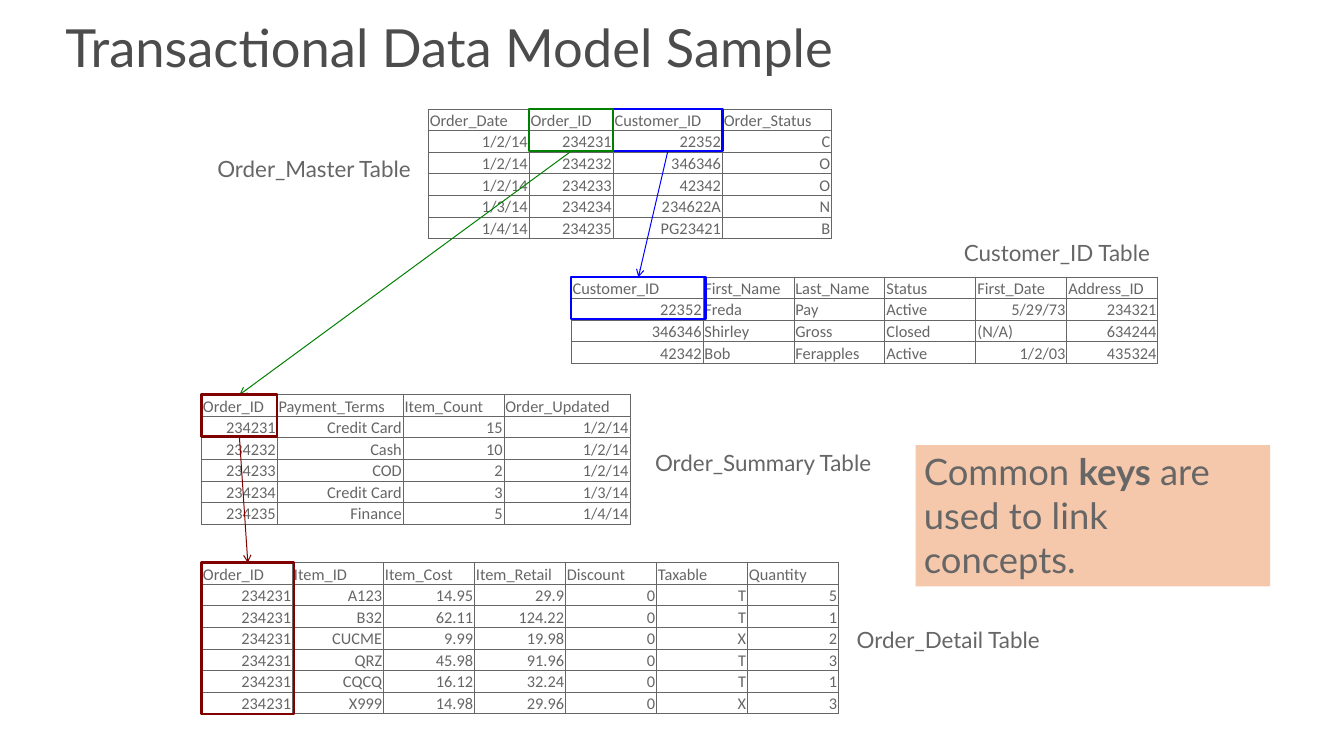
import pptx
import pptx.dml.color
import pptx.enum.shapes
import pptx.enum.text
import pptx.oxml
import pptx.oxml.ns
import pptx.util

Pt = pptx.util.Pt
ANCHOR = pptx.enum.text.MSO_ANCHOR
ALIGN = pptx.enum.text.PP_ALIGN
SHAPE = pptx.enum.shapes.MSO_SHAPE

# Content: lengths in points
TITLE = "Transactional Data Model Sample"
GRAY = "666666"
ROW_H = 18.5
KEY_H = 36

# left, top, column widths, align text cells left, rows
TABLES = [
    (489.6, 237.6, [113] + [78] * 5, True, [
        ("Customer_ID", "First_Name", "Last_Name", "Status", "First_Date", "Address_ID"),
        ("22352", "Freda", "Pay", "Active", "5/29/73", "234321"),
        ("346346", "Shirley", "Gross", "Closed", "(N/A)", "634244"),
        ("42342", "Bob", "Ferapples", "Active", "1/2/03", "435324"),
    ]),
    (367.2, 93.6, [86.4, 72, 93.6, 93.6], False, [
        ("Order_Date", "Order_ID", "Customer_ID", "Order_Status"),
        ("1/2/14", "234231", "22352", "C"),
        ("1/2/14", "234232", "346346", "O"),
        ("1/2/14", "234233", "42342", "O"),
        ("1/3/14", "234234", "234622A", "N"),
        ("1/4/14", "234235", "PG23421", "B"),
    ]),
    (172.8, 338.4, [64.8, 108, 86.4, 108], False, [
        ("Order_ID", "Payment_Terms", "Item_Count", "Order_Updated"),
        ("234231", "Credit Card", "15", "1/2/14"),
        ("234232", "Cash", "10", "1/2/14"),
        ("234233", "COD", "2", "1/2/14"),
        ("234234", "Credit Card", "3", "1/3/14"),
        ("234235", "Finance", "5", "1/4/14"),
    ]),
    (172.8, 482.4, [78] * 7, False, [
        ("Order_ID", "Item_ID", "Item_Cost", "Item_Retail", "Discount", "Taxable", "Quantity"),
        ("234231", "A123", "14.95", "29.9", "0", "T", "5"),
        ("234231", "B32", "62.11", "124.22", "0", "T", "1"),
        ("234231", "CUCME", "9.99", "19.98", "0", "X", "2"),
        ("234231", "QRZ", "45.98", "91.96", "0", "T", "3"),
        ("234231", "CQCQ", "16.12", "32.24", "0", "T", "1"),
        ("234231", "X999", "14.98", "29.96", "0", "X", "3"),
    ]),
]

# colour, key box the link leaves, key box it reaches
LINKS = [
    ("0000FF", (525.6, 93.6, 93.6, KEY_H), (489.6, 237.6, 115.2, KEY_H)),
    ("008000", (453.6, 93.6, 72, KEY_H), (172.8, 338.4, 64.8, KEY_H)),
    ("800000", (172.8, 338.4, 64.8, KEY_H), (172.8, 482.4, 79.2, 129.6)),
]

# text, left, top, width, alignment
LABELS = [
    ("Order_Master Table", 151.2, 129.6, 208, ALIGN.RIGHT),
    ("Customer_ID Table", 784.8, 201.6, 208, ALIGN.RIGHT),
    ("Order_Summary Table", 554.4, 381.6, 266.4, ALIGN.LEFT),
    ("Order_Detail Table", 727.2, 532.8, 266.4, ALIGN.LEFT),
]

CALLOUT = [("Common ", False), ("keys", True), (" are used to link concepts.", False)]


def rgb(value):
    return pptx.dml.color.RGBColor.from_string(value)


def style(r, size, font="Lato", color=GRAY, bold=False):
    r.font.size = Pt(size)
    r.font.name = font
    r.font.color.rgb = rgb(color)
    r.font.bold = bold


def set_borders(cell, color, width):
    tcPr = cell._tc.get_or_add_tcPr()
    for i, side in enumerate(("lnL", "lnR", "lnT", "lnB")):
        tcPr.insert(i, pptx.oxml.parse_xml(
            f'<a:{side} {pptx.oxml.ns.nsdecls("a")} w="{Pt(width)}"><a:solidFill>'
            f'<a:srgbClr val="{color}"/></a:solidFill></a:{side}>'))


def add_data_table(s, left, top, widths, text_left, rows):
    frame = s.shapes.add_table(len(rows), len(widths), Pt(left), Pt(top),
                               Pt(sum(widths)), Pt(ROW_H * len(rows)))
    table = frame.table
    table.first_row = table.horz_banding = False
    for col, width in zip(table.columns, widths):
        col.width = Pt(width)
    for i, row in enumerate(rows):
        table.rows[i].height = Pt(ROW_H)
        for j, text in enumerate(row):
            cell = table.cell(i, j)
            cell.fill.background()
            set_borders(cell, GRAY, 1)
            cell.margin_left = cell.margin_right = cell.margin_top = Pt(1.2)
            cell.margin_bottom = 0
            cell.vertical_anchor = ANCHOR.BOTTOM
            cell.text_frame.text = text
            p = cell.text_frame.paragraphs[0]
            is_left = i == 0 or (text_left and not text[0].isdigit())
            p.alignment = ALIGN.LEFT if is_left else ALIGN.RIGHT
            style(p.runs[0], 14, "Calibri")


def add_key_box(s, box, color):
    sp = s.shapes.add_shape(SHAPE.RECTANGLE, *map(Pt, box))
    sp.shadow.inherit = False
    sp.fill.background()
    sp.line.color.rgb = rgb(color)
    sp.line.width = Pt(2.25)
    return sp


def add_link(s, color, source, target):
    start, end = add_key_box(s, source, color), add_key_box(s, target, color)
    line = s.shapes.add_connector(pptx.enum.shapes.MSO_CONNECTOR.STRAIGHT, 0, 0, 0, 0)
    line.begin_connect(start, 2)
    line.end_connect(end, 0)
    line.line.color.rgb = rgb(color)
    line.line.width = Pt(0.85)
    ns = pptx.oxml.ns.nsdecls("a")
    line.line._get_or_add_ln().append(pptx.oxml.parse_xml(f'<a:tailEnd {ns} type="arrow"/>'))
    line._element.spPr.append(pptx.oxml.parse_xml(f"<a:effectLst {ns}/>"))


def main():
    prs = pptx.Presentation()
    prs.slide_width, prs.slide_height = Pt(1152), Pt(648)
    s = prs.slides.add_slide(prs.slide_layouts[5])

    # Title
    title = s.shapes.title
    title.left, title.top, title.width, title.height = map(Pt, (56, 23, 1042.5, 44))
    tf = title.text_frame
    tf.text = TITLE
    tf.margin_left = tf.margin_top = tf.margin_right = tf.margin_bottom = 0
    tf.vertical_anchor = ANCHOR.MIDDLE
    p = tf.paragraphs[0]
    p.alignment = ALIGN.LEFT
    p.line_spacing = 0.8
    style(p.runs[0], 45, color="4C4C4C")

    # Tables, then the keys that link them
    for table in TABLES:
        add_data_table(s, *table)
    for link in LINKS:
        add_link(s, *link)

    # Table names
    for text, left, top, width, align in LABELS:
        tf = s.shapes.add_textbox(Pt(left), Pt(top), Pt(width), Pt(30.2)).text_frame
        tf.word_wrap = True
        tf.auto_size = pptx.enum.text.MSO_AUTO_SIZE.SHAPE_TO_FIT_TEXT
        tf.text = text
        tf.paragraphs[0].alignment = align
        style(tf.paragraphs[0].runs[0], 19.2)

    # Callout
    sp = s.shapes.add_shape(SHAPE.RECTANGLE, Pt(784.8), Pt(381.6), Pt(304), Pt(121))
    sp.shadow.inherit = False
    sp.fill.solid()
    sp.fill.fore_color.rgb = rgb("F6C8AB")
    sp.line.fill.background()
    tf = sp.text_frame
    tf.word_wrap = True
    tf.auto_size = pptx.enum.text.MSO_AUTO_SIZE.SHAPE_TO_FIT_TEXT
    tf.vertical_anchor = ANCHOR.TOP
    p = tf.paragraphs[0]
    p.alignment = ALIGN.LEFT
    for text, bold in CALLOUT:
        r = p.add_run()
        r.text = text
        style(r, 31.2, bold=bold)

    prs.save("out.pptx")


if __name__ == "__main__":
    main()
